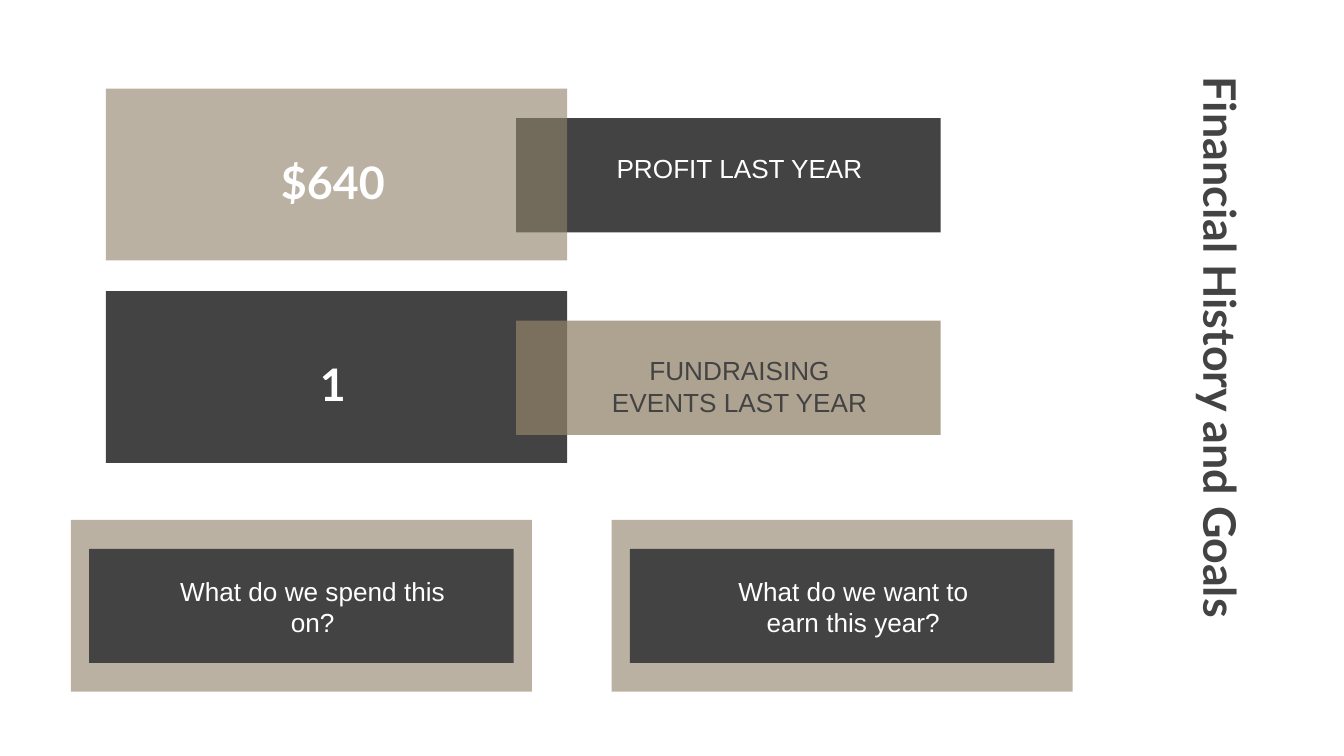
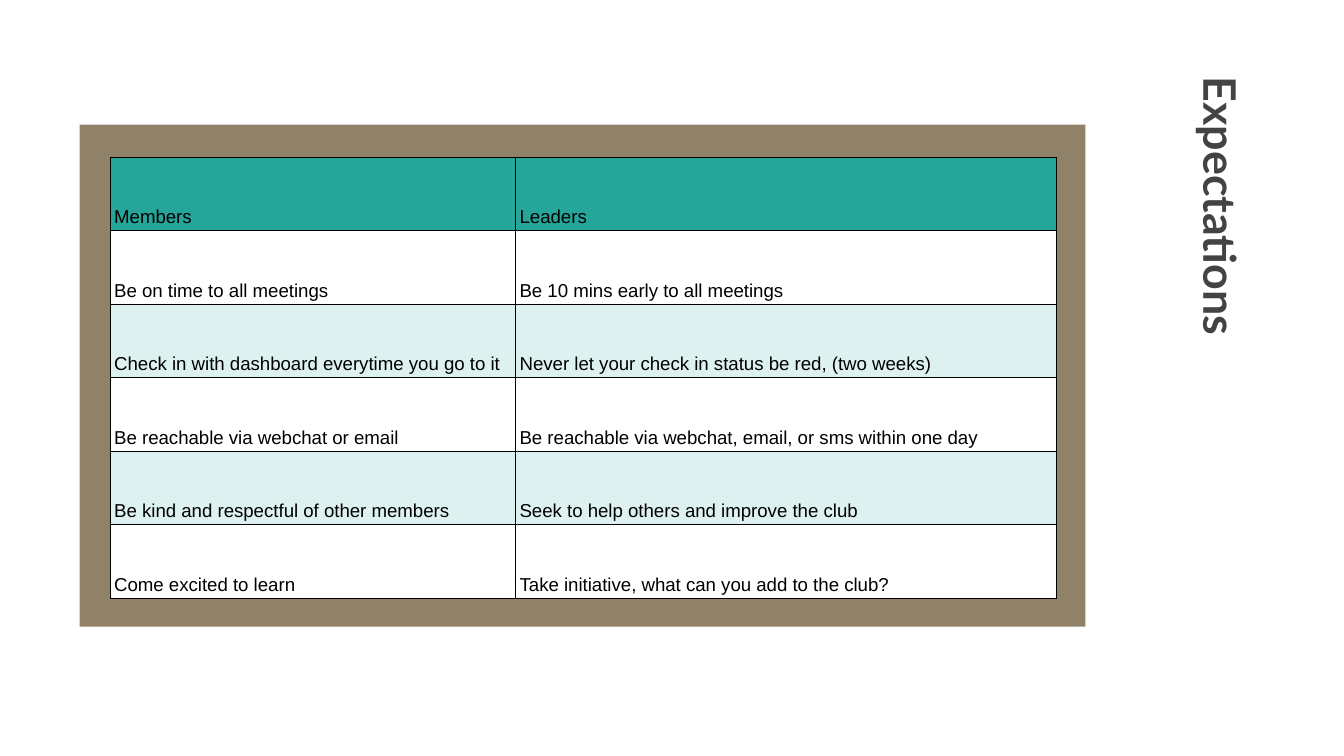
"""Build the club's financial history and expectations slides."""
from lxml import etree
from pptx import Presentation
from pptx import util as u
from pptx.dml.color import RGBColor
from pptx.enum import shapes, text
from pptx.oxml.ns import qn

COLORS = {"dark": "434343", "tan": "908269", "white": "FFFFFF", "black": "000000",
          "teal": "26A69A", "mint": "DDF2F0"}
HEADING = ("Lato", 24, True)
LABEL = ("Arial", 14, False)
CELL = ("Arial", 10, False)

FINANCE_TITLE = ("Financial History and Goals", 358.5)
STATS = [
    {"value": "$640", "label": "PROFIT LAST YEAR", "panel": ("tan", 62),
     "band": ("dark", 100), "ink": "white", "panel_on_top": True},
    {"value": "1", "label": "FUNDRAISING EVENTS LAST YEAR", "panel": ("dark", 100),
     "band": ("tan", 73), "ink": "dark", "panel_on_top": False},
]
QUESTIONS = ["What do we spend this on?", "What do we want to earn this year?"]

EXPECTATIONS_TITLE = ("Expectations", 222.5)
EXPECTATIONS = [
    ("Members", "Leaders"),
    ("Be on time to all meetings", "Be 10 mins early to all meetings"),
    ("Check in with dashboard everytime you go to it",
     "Never let your check in status be red, (two weeks)"),
    ("Be reachable via webchat or email",
     "Be reachable via webchat, email, or sms within one day"),
    ("Be kind and respectful of other members", "Seek to help others and improve the club"),
    ("Come excited to learn", "Take initiative, what can you add to the club?"),
]

PANEL_W, PANEL_H = 247, 92
BAND_W, BAND_H = 227.5, 61.2
STAT_X, STAT_Y, STAT_STEP = 56.8, 47.5, 108.5
BAND_X, BAND_DROP = 276.5, 15.8
QUESTION_X, QUESTION_Y, QUESTION_STEP = 38, 278.6, 289.7
LABEL_INDENT, LABEL_W = 38, 163.5
TITLE_CENTER_X, TITLE_TOP, TITLE_H = 656.8, 34, 38.2
TABLE_X, TABLE_Y, ROW_H, COLUMNS = 59, 84.2, 39.38, (217.2, 289.8)


def rgb(name):
    return RGBColor.from_string(COLORS[name])


def pts(*lengths):
    return [u.Pt(length) for length in lengths]


def add_rect(slide, x, y, w, h, color, opacity=100):
    rect = slide.shapes.add_shape(shapes.MSO_SHAPE.RECTANGLE, *pts(x, y, w, h))
    rect.shadow.inherit = False
    rect.line.fill.background()
    rect.fill.solid()
    rect.fill.fore_color.rgb = rgb(color)
    if opacity < 100:
        paint = rect.fill._xPr.find(qn("a:solidFill"))[0]
        etree.SubElement(paint, qn("a:alpha")).set("val", str(opacity * 1000))


def write(frame, words, style, color):
    paragraph = frame.paragraphs[0]
    run = paragraph.add_run()
    run.text = words
    run.font.name, size, run.font.bold = style
    run.font.size = u.Pt(size)
    run.font.color.rgb = rgb(color)
    return paragraph


def add_text(slide, x, y, w, h, words, style, color, align=text.PP_ALIGN.CENTER):
    box = slide.shapes.add_textbox(*pts(x, y, w, h))
    frame = box.text_frame
    frame.word_wrap = True
    frame.margin_left = frame.margin_right = u.Pt(7.2)
    frame.margin_top = frame.margin_bottom = u.Pt(7.2)
    write(frame, words, style, color).alignment = align
    return box


def add_title(slide, words, length):
    center_y = TITLE_TOP + length / 2
    title = add_text(slide, TITLE_CENTER_X - length / 2, center_y - TITLE_H / 2,
                     length, TITLE_H, words, HEADING, "dark", text.PP_ALIGN.LEFT)
    title.rotation = 90


def add_stat(slide, y, stat):
    panel = (STAT_X, y, PANEL_W, PANEL_H, *stat["panel"])
    band = (BAND_X, y + BAND_DROP, BAND_W, BAND_H, *stat["band"])
    for layer in (band, panel) if stat["panel_on_top"] else (panel, band):
        add_rect(slide, *layer)
    add_text(slide, STAT_X + 10, y + 28, 223, 38.2, stat["value"], HEADING, "white")
    add_text(slide, BAND_X + LABEL_INDENT, y + BAND_DROP + 11, LABEL_W, 38.2,
             stat["label"], LABEL, stat["ink"])


def add_question(slide, x, question):
    add_rect(slide, x, QUESTION_Y, PANEL_W, PANEL_H, "tan", 62)
    inner_x = x + (PANEL_W - BAND_W) / 2
    inner_y = QUESTION_Y + (PANEL_H - BAND_H) / 2
    add_rect(slide, inner_x, inner_y, BAND_W, BAND_H, "dark")
    add_text(slide, inner_x + LABEL_INDENT, inner_y + 7, LABEL_W, 43.2,
             question, LABEL, "white")


def add_borders(cell):
    properties = cell._tc.get_or_add_tcPr()
    for place, side in enumerate(("lnL", "lnR", "lnT", "lnB")):
        line = etree.Element(qn(f"a:{side}"), w=str(u.Pt(0.6)))
        paint = etree.SubElement(line, qn("a:solidFill"))
        etree.SubElement(paint, qn("a:srgbClr")).set("val", COLORS["black"])
        properties.insert(place, line)


def add_expectations(slide):
    grid = slide.shapes.add_table(
        len(EXPECTATIONS), len(COLUMNS),
        *pts(TABLE_X, TABLE_Y, sum(COLUMNS), ROW_H * len(EXPECTATIONS))).table
    grid.first_row = grid.horz_banding = False
    for column, width in zip(grid.columns, COLUMNS):
        column.width = u.Pt(width)
    for r, expectations in enumerate(EXPECTATIONS):
        grid.rows[r].height = u.Pt(ROW_H)
        color = "teal" if r == 0 else ("mint", "white")[r % 2]
        for c, words in enumerate(expectations):
            cell = grid.cell(r, c)
            cell.fill.solid()
            cell.fill.fore_color.rgb = rgb(color)
            cell.vertical_anchor = text.MSO_ANCHOR.BOTTOM
            cell.margin_left = cell.margin_right = u.Pt(2.2)
            cell.margin_top = cell.margin_bottom = u.Pt(1.5)
            write(cell.text_frame, words, CELL, "black").line_spacing = 1.15
            add_borders(cell)


def main():
    deck = Presentation()
    deck.slide_width, deck.slide_height = pts(720, 405)
    blank = deck.slide_layouts[6]

    finance = deck.slides.add_slide(blank)
    for i, stat in enumerate(STATS):
        add_stat(finance, STAT_Y + i * STAT_STEP, stat)
    for i, question in enumerate(QUESTIONS):
        add_question(finance, QUESTION_X + i * QUESTION_STEP, question)
    add_title(finance, *FINANCE_TITLE)

    rules = deck.slides.add_slide(blank)
    add_rect(rules, 42.7, 66.8, 538.8, 269, "tan")
    add_title(rules, *EXPECTATIONS_TITLE)
    add_expectations(rules)

    deck.save("out.pptx")


if __name__ == "__main__":
    main()
